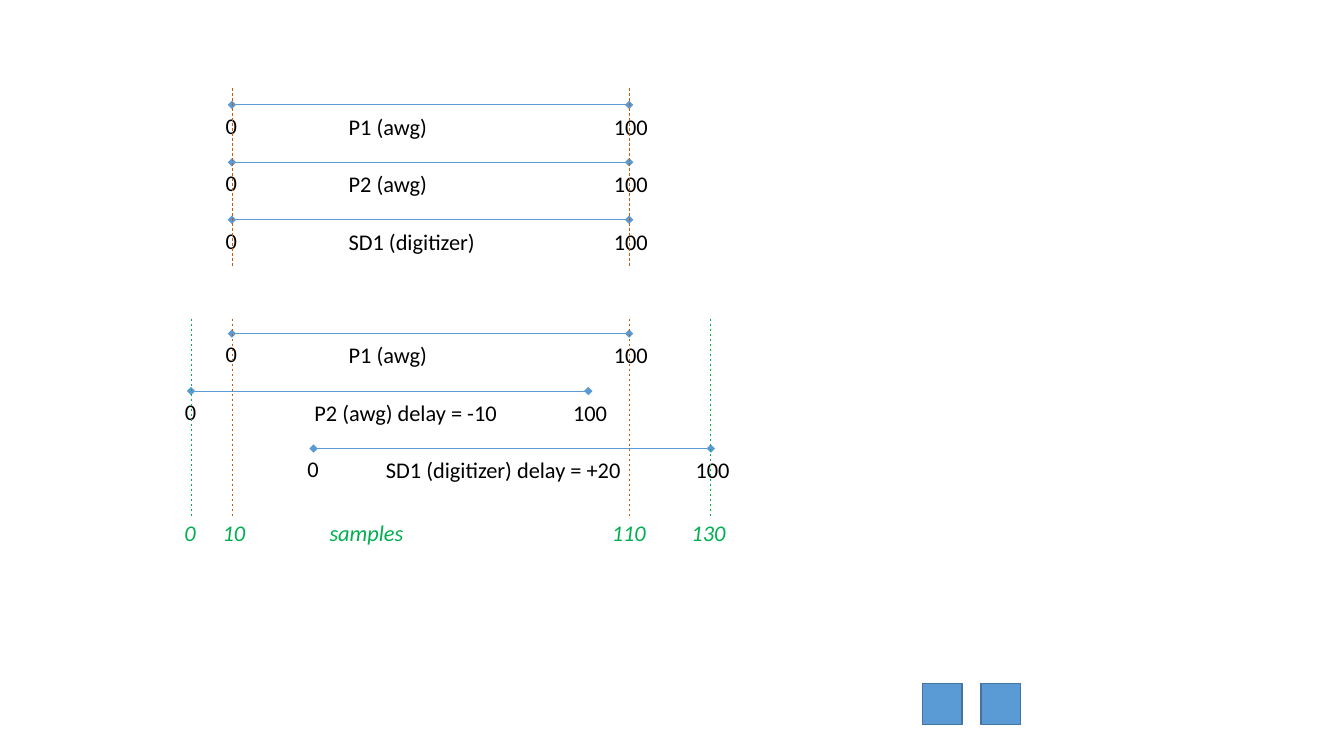
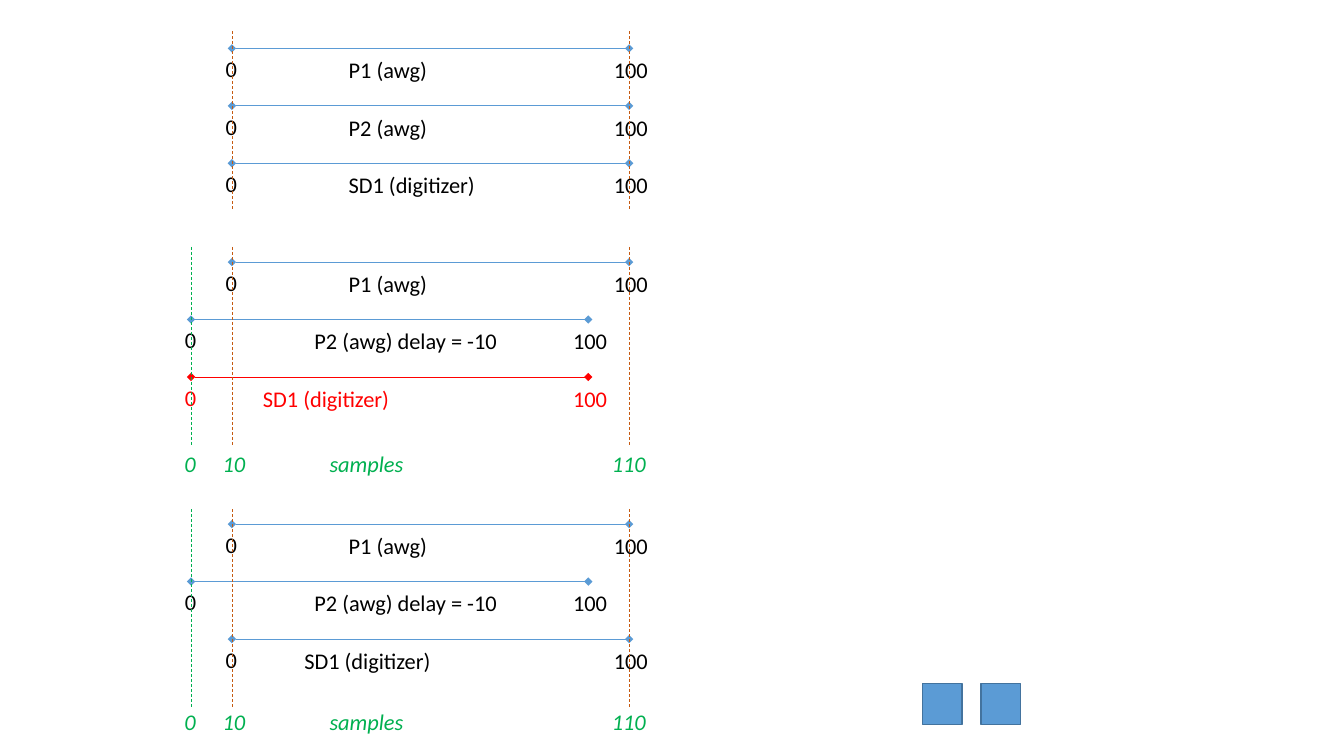
from lxml import etree
from pptx import Presentation
from pptx.dml.color import RGBColor
from pptx.enum.dml import MSO_LINE
from pptx.enum.shapes import MSO_CONNECTOR, MSO_SHAPE
from pptx.enum.text import MSO_AUTO_SIZE
from pptx.oxml.ns import qn
from pptx.util import Inches, Pt

BLUE, EDGE, ORANGE = "5B9BD5", "43739E", "C55A11"
GREEN, RED, BLACK = "00B050", "FF0000", "000000"
FONT = "Calibri"

P1_START = 2.3
PULSE_LENGTH = 3.94
INCHES_PER_SAMPLE = 0.81 / 20
P1_SAMPLE = 10
TRACK_PITCH = 0.57
TEXT_HEIGHT = 0.37
SAMPLES_LEFT = 3.17
SQUARE_LEFTS = (9.15, 9.73)

ALIGNED = [
    ("P1 (awg)", 0, 3.36, BLUE, BLACK),
    ("P2 (awg)", 0, 3.36, BLUE, BLACK),
    ("SD1 (digitizer)", 0, 3.36, BLUE, BLACK),
]
DELAYED = [
    ALIGNED[0],
    ("P2 (awg) delay = -10", -10, 3.02, BLUE, BLACK),
]
EDGES = {10: ORANGE, 110: ORANGE}
DELAYED_EDGES = {10: ORANGE, 110: ORANGE, 0: GREEN}
SAMPLE_BOXES = {0: (1.73, 0.36), 10: (2.11, 0.48), 110: (5.97, 0.64), 130: (6.76, 0.64)}


def aligned_group(top):
    return dict(tracks=ALIGNED, first=top + 0.17, edges=EDGES,
                top=top, bottom=top + 1.78, samples_top=None)


def delayed_group(top, digitizer, samples_top, extra_edges=None):
    return dict(tracks=DELAYED + [digitizer], first=top + 0.15,
                edges={**DELAYED_EDGES, **(extra_edges or {})},
                top=top, bottom=top + 1.96, samples_top=samples_top)


SLIDES = [
    [
        aligned_group(0.87),
        delayed_group(3.16, ("SD1 (digitizer) delay = +20", 20, 3.73, BLUE, BLACK),
                      5.1, {130: GREEN}),
    ],
    [
        aligned_group(0.31),
        delayed_group(2.45, ("SD1 (digitizer)", -10, 2.51, RED, RED), 4.42),
        delayed_group(5.05, ("SD1 (digitizer)", 0, 2.92, BLUE, BLACK), 6.98),
    ],
]


def rgb(colour):
    return RGBColor.from_string(colour)


def add_text(slide, text, left, top, width, colour=BLACK, italic=False):
    box = slide.shapes.add_textbox(Inches(left), Inches(top), Inches(width), Inches(TEXT_HEIGHT))
    frame = box.text_frame
    frame.word_wrap = True
    frame.auto_size = MSO_AUTO_SIZE.SHAPE_TO_FIT_TEXT
    run = frame.paragraphs[0].add_run()
    run.text = text
    run.font.name = FONT
    run.font.size = Pt(16)
    run.font.italic = italic
    run.font.color.rgb = rgb(colour)


def add_line(slide, start, end, colour, dashed=False, diamonds=False):
    points = [Inches(value) for value in (*start, *end)]
    connector = slide.shapes.add_connector(MSO_CONNECTOR.STRAIGHT, *points)
    line = connector.line
    line.width = Pt(0.5)
    line.color.rgb = rgb(colour)
    if dashed:
        line.dash_style = MSO_LINE.DASH
    if diamonds:
        for end_tag in ("a:headEnd", "a:tailEnd"):
            etree.SubElement(line._get_or_add_ln(), qn(end_tag), type="diamond")
    etree.SubElement(connector._element.spPr, qn("a:effectLst"))


def sample_x(sample):
    if sample < 100:
        return P1_START + (sample - P1_SAMPLE) * INCHES_PER_SAMPLE
    return sample_x(sample - 100) + PULSE_LENGTH


def add_track(slide, y, name, delay, name_left, colour, text_colour):
    start = sample_x(P1_SAMPLE + delay)
    end = start + PULSE_LENGTH
    add_line(slide, (start, y), (end, y), colour, diamonds=True)
    add_text(slide, "0", start - 0.16, y + 0.02, 0.32, text_colour)
    add_text(slide, "100", end - 0.25, y + 0.03, 0.68, text_colour)
    add_text(slide, name, name_left, y + 0.03, 2.76, text_colour)


def add_group(slide, group):
    for row, track in enumerate(group["tracks"]):
        add_track(slide, group["first"] + row * TRACK_PITCH, *track)
    for sample, colour in group["edges"].items():
        x = sample_x(sample)
        add_line(slide, (x, group["top"]), (x, group["bottom"]), colour, dashed=True)
    samples_top = group["samples_top"]
    if samples_top is not None:
        add_text(slide, "samples", SAMPLES_LEFT, samples_top, 1.23, GREEN, italic=True)
        for sample in group["edges"]:
            left, width = SAMPLE_BOXES[sample]
            add_text(slide, str(sample), left, samples_top, width, GREEN, italic=True)


def add_square(slide, left):
    square = slide.shapes.add_shape(MSO_SHAPE.RECTANGLE, Inches(left), Inches(6.78),
                                    Inches(0.39), Inches(0.41))
    square.shadow.inherit = False
    square.fill.solid()
    square.fill.fore_color.rgb = rgb(BLUE)
    square.line.color.rgb = rgb(EDGE)
    square.line.width = Pt(1)


def main():
    deck = Presentation()
    deck.slide_width, deck.slide_height = Inches(13.33), Inches(7.5)
    for groups in SLIDES:
        slide = deck.slides.add_slide(deck.slide_layouts[6])
        for group in groups:
            add_group(slide, group)
        for left in SQUARE_LEFTS:
            add_square(slide, left)
    deck.save("out.pptx")


if __name__ == "__main__":
    main()
